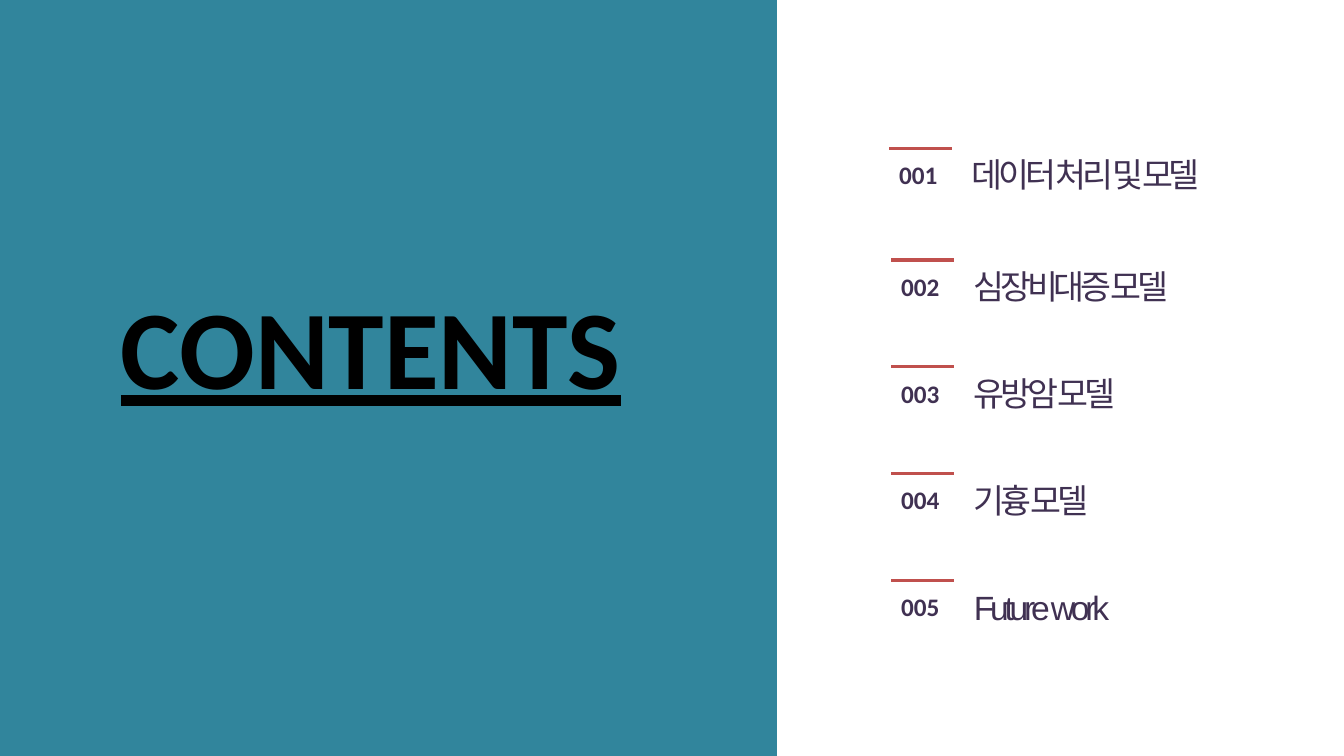
from dataclasses import dataclass

from lxml import etree
from pptx import Presentation
from pptx.dml.color import RGBColor
from pptx.enum.shapes import MSO_CONNECTOR, MSO_SHAPE
from pptx.enum.text import MSO_ANCHOR, MSO_AUTO_SIZE, PP_ALIGN
from pptx.oxml.ns import qn
from pptx.util import Inches, Pt

STRAIGHT = MSO_CONNECTOR.STRAIGHT
RECTANGLE = MSO_SHAPE.RECTANGLE
TOP = MSO_ANCHOR.TOP
GROW = MSO_AUTO_SIZE.SHAPE_TO_FIT_TEXT
LEFT = PP_ALIGN.LEFT

TEAL = RGBColor(0x31, 0x85, 0x9C)
RED = RGBColor(0xC0, 0x50, 0x4D)
PURPLE = RGBColor(0x40, 0x31, 0x52)
BLACK = RGBColor(0, 0, 0)

TITLE_FORMAT = {"name": "Calibri", "size": Pt(80), "bold": True, "underline": True}
NUMBER_FORMAT = {"name": "Calibri", "size": Pt(18), "bold": True}
LABEL_FORMAT = {"name": "Arial", "size": Pt(24)}
LABEL_SPACING = "-300"  # hundredths of a point

FIRST_LEFT, FIRST_TOP = 8.82, 1.47
REST_LEFT, REST_TOP, ROW_STEP = 8.84, 2.58, 1.06


@dataclass
class Entry:
    label: str
    width: float
    wrap: bool = False


ENTRIES = [
    Entry("데이터 처리 및 모델", 3.11, wrap=True),
    Entry("심장비대증 모델", 2.34),
    Entry("유방암 모델", 1.75),
    Entry("기흉 모델", 1.46),
    Entry("Future work", 1.56),
]


def write(sp, text: str, style: dict, color: RGBColor, wrap: bool):
    """Fill a text shape with one formatted run and return the run."""
    tf = sp.text_frame
    tf.word_wrap = wrap
    tf.auto_size = GROW
    tf.vertical_anchor = TOP
    p = tf.paragraphs[0]
    p.alignment = LEFT
    r = p.add_run()
    r.text = text
    for name, value in style.items():
        setattr(r.font, name, value)
    r.font.color.rgb = color
    return r


def add_entry(shapes, number: int, entry: Entry, left: float, top: float) -> None:
    """Group a red rule, a number and a label."""
    items = shapes.add_group_shape().shapes

    rule = items.add_connector(
        STRAIGHT, Inches(left), Inches(top), Inches(left + 0.62), Inches(top))
    rule.line.color.rgb = RED
    rule.line.width = Pt(2.25)
    etree.SubElement(rule.element.spPr, qn("a:effectLst"))

    label = items.add_textbox(
        Inches(left + 0.72), Inches(top + 0.01), Inches(entry.width), Inches(0.5))
    r = write(label, entry.label, LABEL_FORMAT, PURPLE, entry.wrap)
    r.font._element.set("spc", LABEL_SPACING)

    num = items.add_textbox(
        Inches(left), Inches(top + 0.06), Inches(0.6), Inches(0.4))
    write(num, f"{number:03d}", NUMBER_FORMAT, PURPLE, False)


def main() -> None:
    prs = Presentation()
    prs.slide_width, prs.slide_height = Inches(13.33), Inches(7.5)
    s = prs.slides.add_slide(prs.slide_layouts[5])

    # Contents list
    for i, entry in enumerate(ENTRIES):
        if i == 0:
            left, top = FIRST_LEFT, FIRST_TOP
        else:
            left, top = REST_LEFT, REST_TOP + (i - 1) * ROW_STEP
        add_entry(s.shapes, i + 1, entry, left, top)

    # Left panel
    panel = s.shapes.add_shape(RECTANGLE, 0, 0, Inches(7.69), Inches(7.53))
    panel.shadow.inherit = False
    panel.fill.solid()
    panel.fill.fore_color.rgb = TEAL
    panel.line.color.rgb = TEAL
    panel.line.width = Pt(2)

    # Title, placed in front of the panel
    title = s.shapes.title
    title.left, title.top = Inches(1.1), Inches(2.7)
    title.width, title.height = Inches(5.4), Inches(1.45)
    write(title, "CONTENTS", TITLE_FORMAT, BLACK, True)
    panel.element.addnext(title.element)

    prs.save("out.pptx")


if __name__ == "__main__":
    main()
